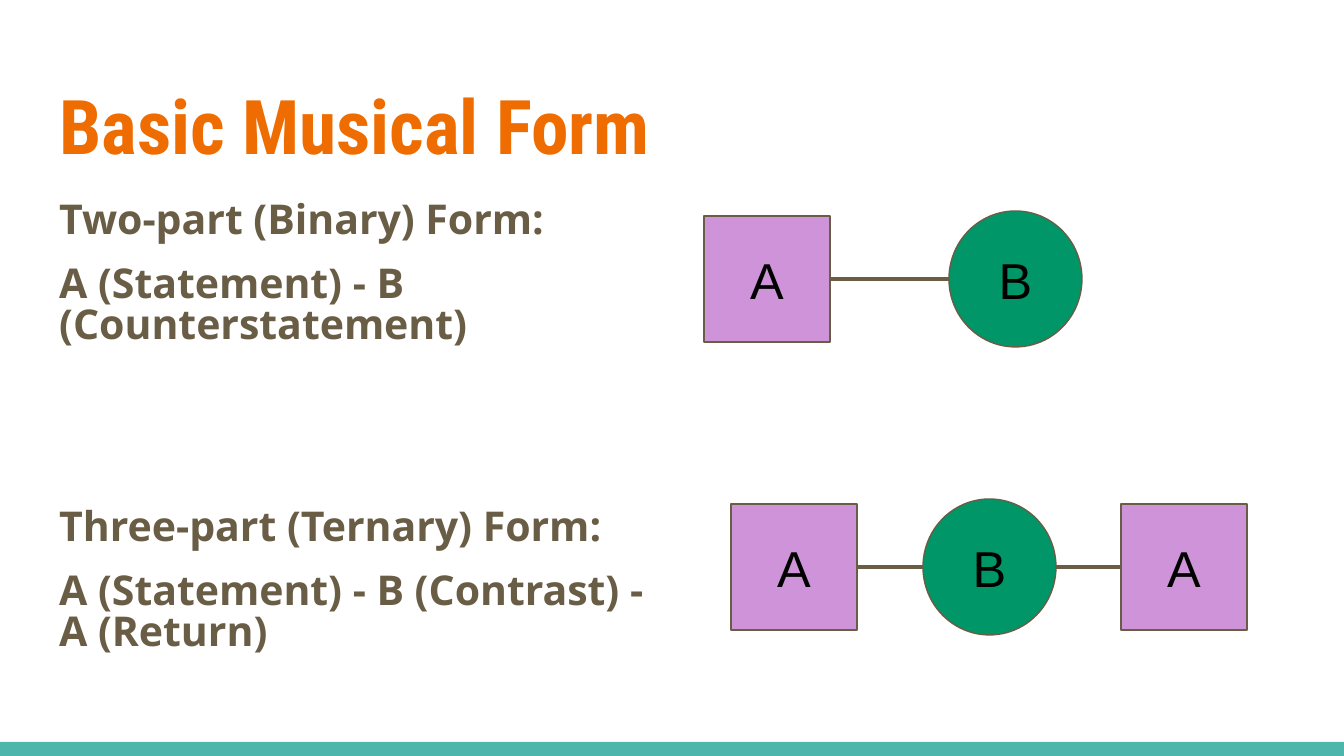
from lxml import etree
from pptx import Presentation
from pptx import util as u
from pptx.dml.color import RGBColor
from pptx.enum import shapes, text
from pptx.oxml.ns import qn

EMU_PER_PX = 914400 / 134.4
COLORS = {
    "background": "FFFFFF",
    "footer": "4DB6AC",
    "title": "EF6C00",
    "body": "695D46",
    "A": "CE93D8",
    "B": "009668",
    "letter": "000000",
}
# Each section shape: preset, width, height
SECTIONS = {
    "A": (shapes.MSO_SHAPE.RECTANGLE, 126, 126),
    "B": (shapes.MSO_SHAPE.OVAL, 133, 136),
}
# Each musical form: centre line, then (section, left) in playing order
FORMS = [
    (279, [("A", 704), ("B", 949)]),
    (567, [("A", 731), ("B", 923), ("A", 1121)]),
]
# Each description line with its space before, in points
DESCRIPTION = [
    ("Two-part (Binary) Form:", 0),
    ("A (Statement) - B (Counterstatement)", 12),
    ("Three-part (Ternary) Form:", 86),
    ("A (Statement) - B (Contrast) - A (Return)", 12),
]


def px(length):
    return u.Emu(round(length * EMU_PER_PX))


def color(name):
    return RGBColor.from_string(COLORS[name])


def set_font(paragraph, name, size, color_name, bold=False):
    font = paragraph.font
    font.name, font.size, font.bold = name, u.Pt(size), bold
    font.color.rgb = color(color_name)


def set_margins(frame):
    frame.word_wrap = True
    frame.margin_left = frame.margin_right = u.Inches(0.1)
    frame.margin_top = frame.margin_bottom = u.Inches(0.1)


def add_text_frame(slide, left, top, width, height):
    frame = slide.shapes.add_textbox(*map(px, (left, top, width, height))).text_frame
    set_margins(frame)
    return frame


def add_filled_shape(slide, preset, box, fill):
    shape = slide.shapes.add_shape(preset, *map(px, box))
    shape.shadow.inherit = False
    shape.fill.solid()
    shape.fill.fore_color.rgb = color(fill)
    return shape


def add_footer(slide):
    footer = add_filled_shape(
        slide, shapes.MSO_SHAPE.RECTANGLE, (0, 742, 1344, 14), "footer")
    footer.line.fill.background()


def add_title(slide):
    title = add_text_frame(slide, 46, 66, 1252, 104).paragraphs[0]
    title.text = "Basic Musical Form"
    set_font(title, "Roboto Condensed", 40.4, "title", bold=True)


def add_description(slide):
    frame = add_text_frame(slide, 46, 188, 626, 536)
    for index, (words, space_before) in enumerate(DESCRIPTION):
        paragraph = frame.add_paragraph() if index else frame.paragraphs[0]
        paragraph.text = words
        paragraph.line_spacing = 0.84
        paragraph.space_before = u.Pt(space_before)
        set_font(paragraph, "Open Sans", 22, "body", bold=True)


def add_section(slide, letter, left, middle):
    preset, width, height = SECTIONS[letter]
    section = add_filled_shape(
        slide, preset, (left, middle - height // 2, width, height), letter)
    section.line.color.rgb = color("body")
    section.line.width = u.Pt(0.75)
    frame = section.text_frame
    set_margins(frame)
    frame.vertical_anchor = text.MSO_ANCHOR.MIDDLE
    paragraph = frame.paragraphs[0]
    paragraph.text = letter
    paragraph.alignment = text.PP_ALIGN.CENTER
    set_font(paragraph, "Arial", 27, "letter")
    return section


def link_sections(slide, before, after, middle):
    """Draw a line between neighbours, joined to whichever is a rectangle."""
    link = slide.shapes.add_connector(
        shapes.MSO_CONNECTOR.STRAIGHT,
        before.left + before.width, px(middle), after.left, px(middle))
    link.line.color.rgb = color("body")
    link.line.width = u.Pt(2.25)
    etree.SubElement(link._element.spPr, qn("a:effectLst"))
    if before.auto_shape_type == shapes.MSO_SHAPE.RECTANGLE:
        link.begin_connect(before, 3)
    if after.auto_shape_type == shapes.MSO_SHAPE.RECTANGLE:
        link.end_connect(after, 1)


def add_form(slide, middle, parts):
    sections = [add_section(slide, letter, left, middle) for letter, left in parts]
    for before, after in zip(sections, sections[1:]):
        link_sections(slide, before, after, middle)


def main():
    deck = Presentation()
    deck.slide_width, deck.slide_height = px(1344), px(756)
    slide = deck.slides.add_slide(deck.slide_layouts[6])
    slide.background.fill.solid()
    slide.background.fill.fore_color.rgb = color("background")
    add_footer(slide)
    add_title(slide)
    add_description(slide)
    for middle, parts in FORMS:
        add_form(slide, middle, parts)
    deck.save("out.pptx")


if __name__ == "__main__":
    main()
